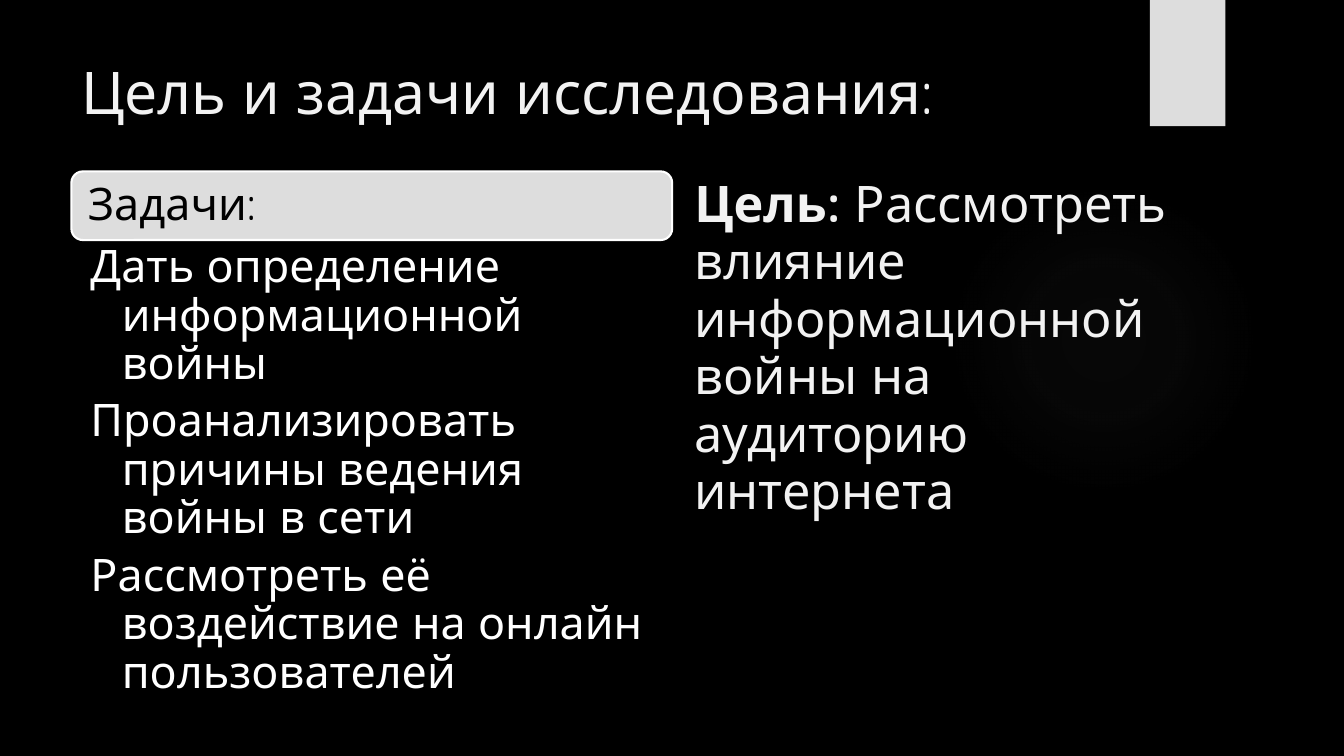
from lxml.etree import SubElement
from pptx import Presentation
from pptx.dml.color import RGBColor
from pptx.enum.shapes import MSO_SHAPE
from pptx.enum.text import MSO_ANCHOR, PP_ALIGN
from pptx.oxml import parse_xml
from pptx.oxml.ns import nsdecls, qn
from pptx.util import Cm, Pt

BLACK = RGBColor(0x00, 0x00, 0x00)
WHITE = RGBColor(0xFF, 0xFF, 0xFF)
OFF_WHITE = RGBColor(0xF2, 0xF2, 0xF2)
LIGHT_GREY = RGBColor(0xDD, 0xDD, 0xDD)
GLOW_GREY = RGBColor(0x66, 0x66, 0x66)
FONT = "Quicksand"
LEFT = Cm(1.8)
COLUMN_TOP = Cm(4.32)
COLUMN_WIDTH = Cm(15.14)


def add_text_box(left, top, width, height):
    text_frame = slide.shapes.add_textbox(left, top, width, height).text_frame
    text_frame.word_wrap = True
    return text_frame


def style_runs(paragraph, size, color):
    for run in paragraph.runs:
        run.font.name = FONT
        run.font.size = Pt(size)
        run.font.color.rgb = color


presentation = Presentation()
presentation.slide_width = Cm(33.87)
presentation.slide_height = Cm(19.05)
slide = presentation.slides.add_slide(presentation.slide_layouts[6])
slide.background.fill.solid()
slide.background.fill.fore_color.rgb = BLACK

# Faint round glow: (position %, opacity %)
glow = slide.shapes.add_shape(MSO_SHAPE.OVAL, Cm(23.9), Cm(4.65), Cm(7.82), Cm(7.82))
glow.shadow.inherit = False
glow.line.fill.background()
gradient = parse_xml(
    f'<a:gradFill {nsdecls("a")}><a:gsLst/><a:path path="circle">'
    '<a:fillToRect l="50000" t="50000" r="50000" b="50000"/></a:path></a:gradFill>')
for position, opacity in [(0, 7), (36, 6), (69, 0)]:
    stop = SubElement(gradient[0], qn("a:gs"), pos=str(position * 1000))
    color = SubElement(stop, qn("a:srgbClr"), val=str(GLOW_GREY))
    SubElement(color, qn("a:alpha"), val=str(opacity * 1000))
glow.element.spPr.find(qn("a:prstGeom")).addnext(gradient)

# Tab at the top edge
tab = slide.shapes.add_shape(MSO_SHAPE.RECTANGLE, Cm(28.98), Cm(0), Cm(1.9), Cm(3.18))
tab.shadow.inherit = False
tab.fill.solid()
tab.fill.fore_color.rgb = LIGHT_GREY
tab.line.fill.background()

# Title
title = add_text_box(LEFT, Cm(1.27), Cm(26.11), Cm(3.89))
title.text = "Цель и задачи исследования:"
style_runs(title.paragraphs[0], 42, OFF_WHITE)

# Tasks header
header = slide.shapes.add_shape(
    MSO_SHAPE.ROUNDED_RECTANGLE, LEFT, COLUMN_TOP, COLUMN_WIDTH, Cm(1.73))
header.shadow.inherit = False
header.fill.solid()
header.fill.fore_color.rgb = LIGHT_GREY
header.line.color.rgb = WHITE
header.line.width = Pt(1.5)
header_text = header.text_frame
header_text.margin_left = header_text.margin_right = Cm(0.33)
header_text.margin_top = header_text.margin_bottom = Cm(0.33)
header_text.vertical_anchor = MSO_ANCHOR.MIDDLE
header_text.text = "Задачи:"
header_text.paragraphs[0].alignment = PP_ALIGN.LEFT
header_text.paragraphs[0].line_spacing = 0.9
style_runs(header_text.paragraphs[0], 32, BLACK)

# Task list with hanging indents
tasks = add_text_box(LEFT, Cm(6.05), COLUMN_WIDTH, Cm(11.33))
tasks.margin_left, tasks.margin_right = Cm(0.48), Cm(0.64)
tasks.margin_top = tasks.margin_bottom = Cm(0.1)
tasks.text = "\n".join([
    "Дать определение информационной войны",
    "Проанализировать причины ведения войны в сети",
    "Рассмотреть её воздействие на онлайн пользователей",
])
for paragraph in tasks.paragraphs:
    properties = paragraph._p.get_or_add_pPr()
    properties.set("marL", str(Cm(0.79)))
    properties.set("indent", str(-Cm(0.79)))
    paragraph.line_spacing = 0.9
    paragraph.space_after = Pt(6.4)
    style_runs(paragraph, 32, WHITE)

# Goal
goal = add_text_box(Cm(17.25), COLUMN_TOP, Cm(13.54), Cm(13.06)).paragraphs[0]
goal.line_spacing = 0.95
goal.space_before = Pt(18.7)
goal.add_run().text = "Цель: "
goal.add_run().text = "Рассмотреть влияние информационной войны на аудиторию интернета"
style_runs(goal, 36, OFF_WHITE)
goal.runs[0].font.bold = True

presentation.save("out.pptx")
